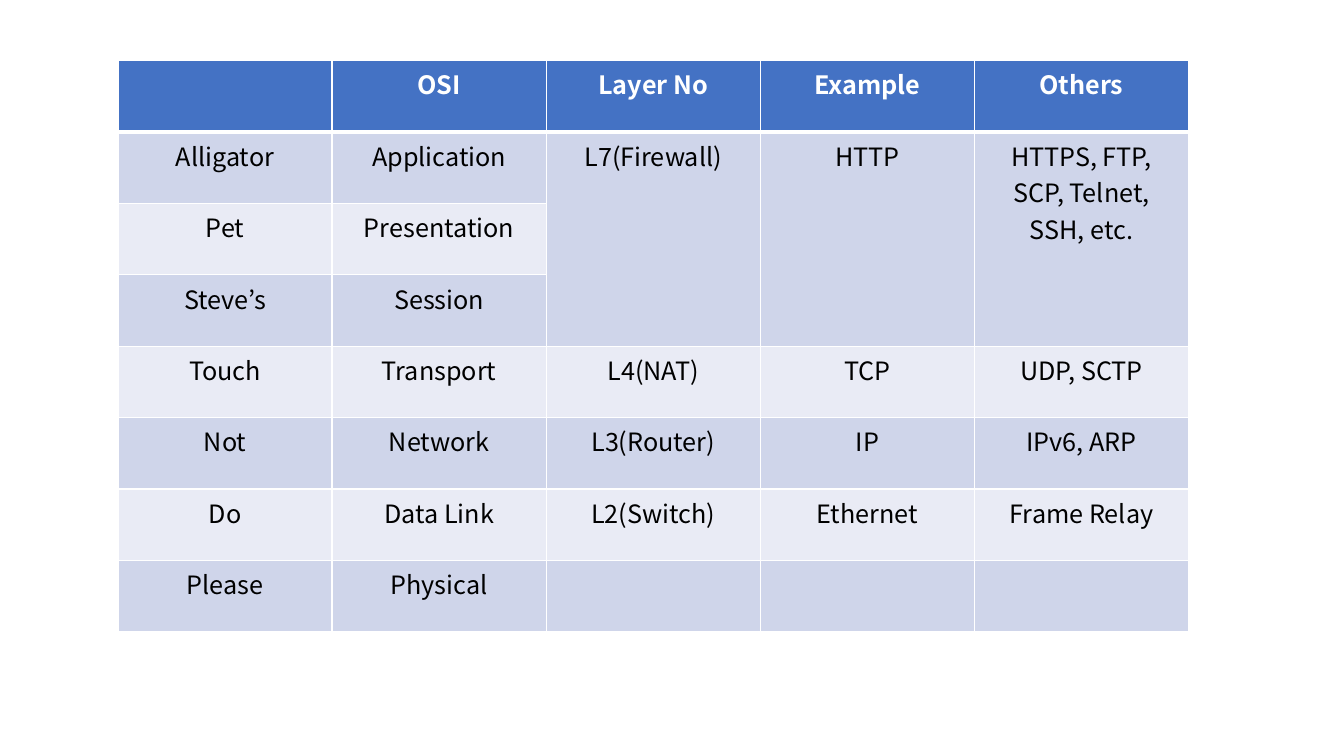
from lxml import etree
from pptx import Presentation
from pptx.dml.color import RGBColor
from pptx.enum.text import PP_ALIGN
from pptx.oxml.ns import qn
from pptx.util import Inches, Pt

CENTER = PP_ALIGN.CENTER
FONT = "Noto Sans CJK KR"
WHITE = RGBColor(0xFF, 0xFF, 0xFF)
BLACK = RGBColor(0x00, 0x00, 0x00)
BLUE = RGBColor(0x44, 0x72, 0xC4)
BAND_DARK = RGBColor(0xCF, 0xD5, 0xEA)
BAND_LIGHT = RGBColor(0xE9, 0xEB, 0xF5)

# Content: mnemonic, OSI layer, layer number, example, other protocols
ROWS = [
    ("", "OSI", "Layer No", "Example", "Others"),
    ("Alligator", "Application", "L7(Firewall)", "HTTP",
     "HTTPS, FTP, SCP, Telnet, SSH, etc."),
    ("Pet", "Presentation", "", "", ""),
    ("Steve’s", "Session", "", "", ""),
    ("Touch", "Transport", "L4(NAT)", "TCP", "UDP, SCTP"),
    ("Not", "Network", "L3(Router)", "IP", "IPv6, ARP"),
    ("Do", "Data Link", "L2(Switch)", "Ethernet", "Frame Relay"),
    ("Please", "Physical", "", "", ""),
]
MERGED_COLS = (2, 3, 4)
MERGED_ROWS = (1, 3)
LEFT, TOP, WIDTH, HEIGHT = 1.17, 0.6, 10.62, 5.67


def write(cell, text, size=18, color=BLACK, bold=False):
    p = cell.text_frame.paragraphs[0]
    p.alignment = CENTER
    p.font.size = Pt(size)
    if text:
        r = p.add_run()
        r.text = text
        r.font.name = FONT
        r.font.size = Pt(size)
        r.font.bold = bold
        r.font.color.rgb = color


def set_borders(cell, top=1, bottom=1):
    tc_pr = cell._tc.get_or_add_tcPr()
    sides = (("a:lnL", 1), ("a:lnR", 1), ("a:lnT", top), ("a:lnB", bottom))
    for i, (tag, width) in enumerate(sides):
        ln = etree.Element(qn(tag), w=str(Pt(width)))
        fill = etree.SubElement(ln, qn("a:solidFill"))
        etree.SubElement(fill, qn("a:srgbClr"), val=str(WHITE))
        tc_pr.insert(i, ln)


prs = Presentation()
prs.slide_width, prs.slide_height = Inches(13.33), Inches(7.5)
s = prs.slides.add_slide(prs.slide_layouts[6])

# Table with equal columns and rows
table = s.shapes.add_table(len(ROWS), len(ROWS[0]), Inches(LEFT), Inches(TOP),
                           Inches(WIDTH), Inches(HEIGHT)).table

# Cells: blue header above alternating bands
for i, row in enumerate(ROWS):
    header = i == 0
    band = BAND_DARK if i % 2 else BAND_LIGHT
    for j, text in enumerate(row):
        cell = table.cell(i, j)
        cell.fill.solid()
        cell.fill.fore_color.rgb = BLUE if header else band
        set_borders(cell, top=3 if i == 1 else 1, bottom=3 if header else 1)
        write(cell, text, color=WHITE if header else BLACK, bold=header)

# The top three layers share one number and one set of protocols
first, last = MERGED_ROWS
for j in MERGED_COLS:
    table.cell(first, j).merge(table.cell(last, j))

prs.save("out.pptx")
